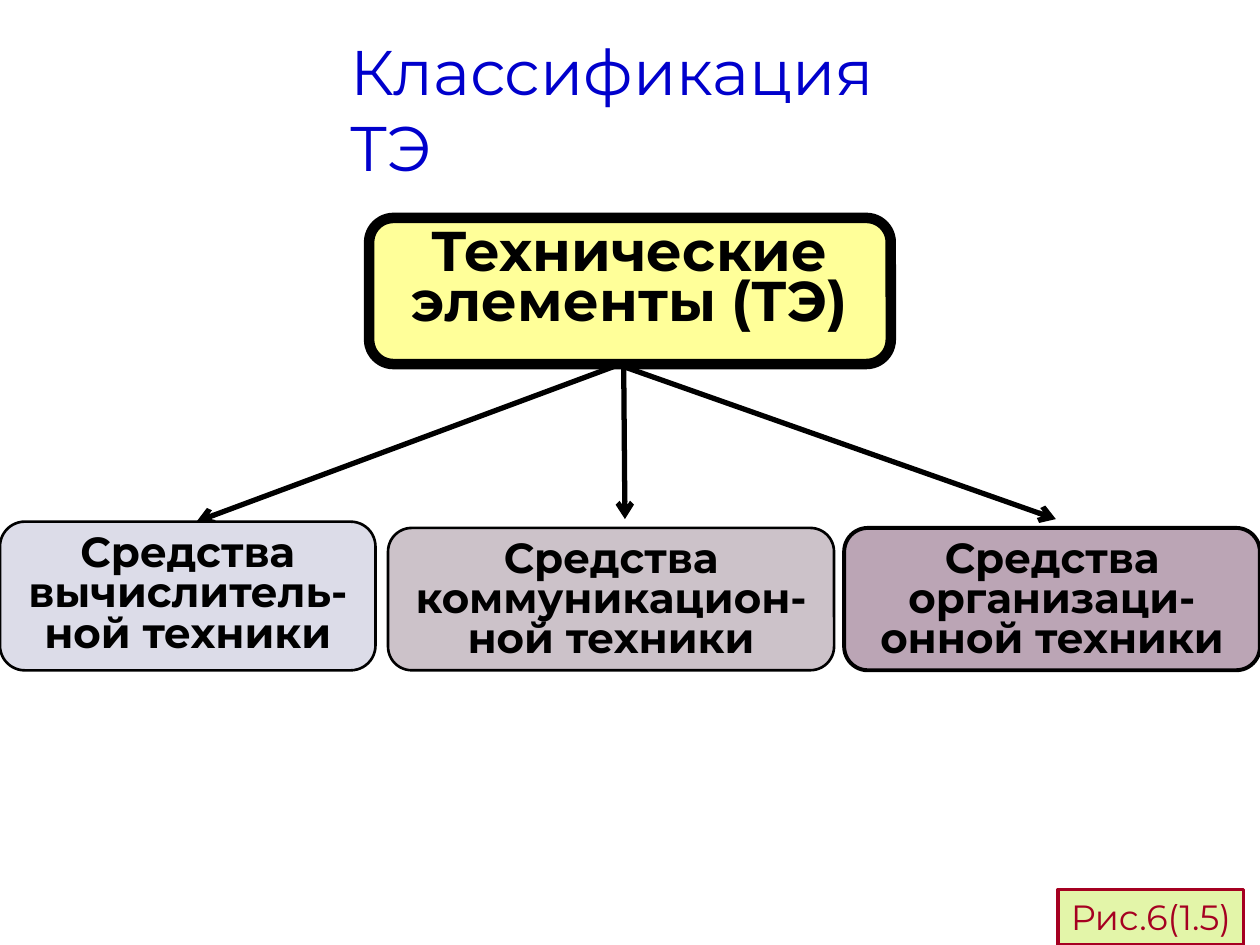
from dataclasses import dataclass

import lxml.etree
import pptx
import pptx.dml.color
import pptx.enum.shapes
import pptx.enum.text
import pptx.oxml.ns
import pptx.util
from pptx.util import Inches


@dataclass(frozen=True)
class Theme:
    font: str = "Montserrat"
    ink: str = "000000"
    title: str = "0000CC"
    root: str = "FFFF99"
    computing: str = "DCDCE8"
    communication: str = "CCC2C9"
    office: str = "BBA5B5"
    caption: str = "A50021"
    caption_fill: str = "E3F5A9"
    title_size: int = 36
    root_size: int = 32
    branch_size: int = 24
    caption_size: int = 20


theme = Theme()
rgb = pptx.dml.color.RGBColor.from_string
align = pptx.enum.text.PP_ALIGN
shapes_enum = pptx.enum.shapes.MSO_SHAPE


def write(shape, text, size, color, bold=False, alignment=align.LEFT, spacing=1.0):
    """Put one top-anchored paragraph into a shape."""
    frame = shape.text_frame
    frame.text = text
    frame.auto_size = pptx.enum.text.MSO_AUTO_SIZE.NONE
    frame.word_wrap = True
    frame.vertical_anchor = pptx.enum.text.MSO_ANCHOR.TOP
    paragraph = frame.paragraphs[0]
    paragraph.alignment = alignment
    paragraph.line_spacing = spacing
    paragraph.font.name = theme.font
    paragraph.font.size = pptx.util.Pt(size)
    paragraph.font.bold = bold
    paragraph.font.color.rgb = rgb(color)


def add_box(kind, place, fill, line, line_width):
    box = slide.shapes.add_shape(kind, *map(Inches, place))
    box.shadow.inherit = False
    box.fill.solid()
    box.fill.fore_color.rgb = rgb(fill)
    box.line.color.rgb = rgb(line)
    box.line.width = pptx.util.Pt(line_width)
    return box


deck = pptx.Presentation()
deck.slide_width = Inches(10)
deck.slide_height = Inches(7.5)
slide = deck.slides.add_slide(deck.slide_layouts[5])

title = slide.shapes.title
title.left, title.top = Inches(2.68), Inches(0.21)
title.width, title.height = Inches(4.75), Inches(1.3)
write(title, "Классификация ТЭ", theme.title_size, theme.title)

# Arrows from the root to its branches
for start_x, end_x, end_y in [(4.87, 1.56, 4.14), (4.95, 4.96, 4.12), (4.95, 8.38, 4.12)]:
    arrow = slide.shapes.add_connector(
        pptx.enum.shapes.MSO_CONNECTOR.STRAIGHT,
        Inches(start_x), Inches(2.91), Inches(end_x), Inches(end_y))
    arrow.line.color.rgb = rgb(theme.ink)
    arrow.line.width = pptx.util.Pt(3)
    qn = pptx.oxml.ns.qn
    lxml.etree.SubElement(arrow.line._get_or_add_ln(), qn("a:tailEnd"), type="arrow")
    lxml.etree.SubElement(arrow._element.spPr, qn("a:effectLst"))

# Root and branches: text, place, fill, line width, type size, line spacing
nodes = [
    ("Технические элементы (ТЭ)", (2.93, 1.73, 4.14, 1.16),
     theme.root, 6, theme.root_size, 0.75),
    ("Средства вычислитель-ной техники", (0, 4.14, 2.98, 1.18),
     theme.computing, 1.5, theme.branch_size, 0.8),
    ("Средства коммуникацион-ной техники", (3.08, 4.19, 3.54, 1.13),
     theme.communication, 1.5, theme.branch_size, 0.8),
    ("Средства организаци-онной техники", (6.7, 4.19, 3.3, 1.13),
     theme.office, 2.25, theme.branch_size, 0.8),
]
for text, place, fill, line_width, size, spacing in nodes:
    node = add_box(shapes_enum.ROUNDED_RECTANGLE, place, fill, theme.ink, line_width)
    write(node, text, size, theme.ink, True, align.CENTER, spacing)

caption = add_box(shapes_enum.RECTANGLE, (8.4, 7.06, 1.47, 0.44),
                  theme.caption_fill, theme.caption, 2.25)
write(caption, "Рис.6(1.5)", theme.caption_size, theme.caption)
caption.text_frame.word_wrap = False

deck.save("out.pptx")
